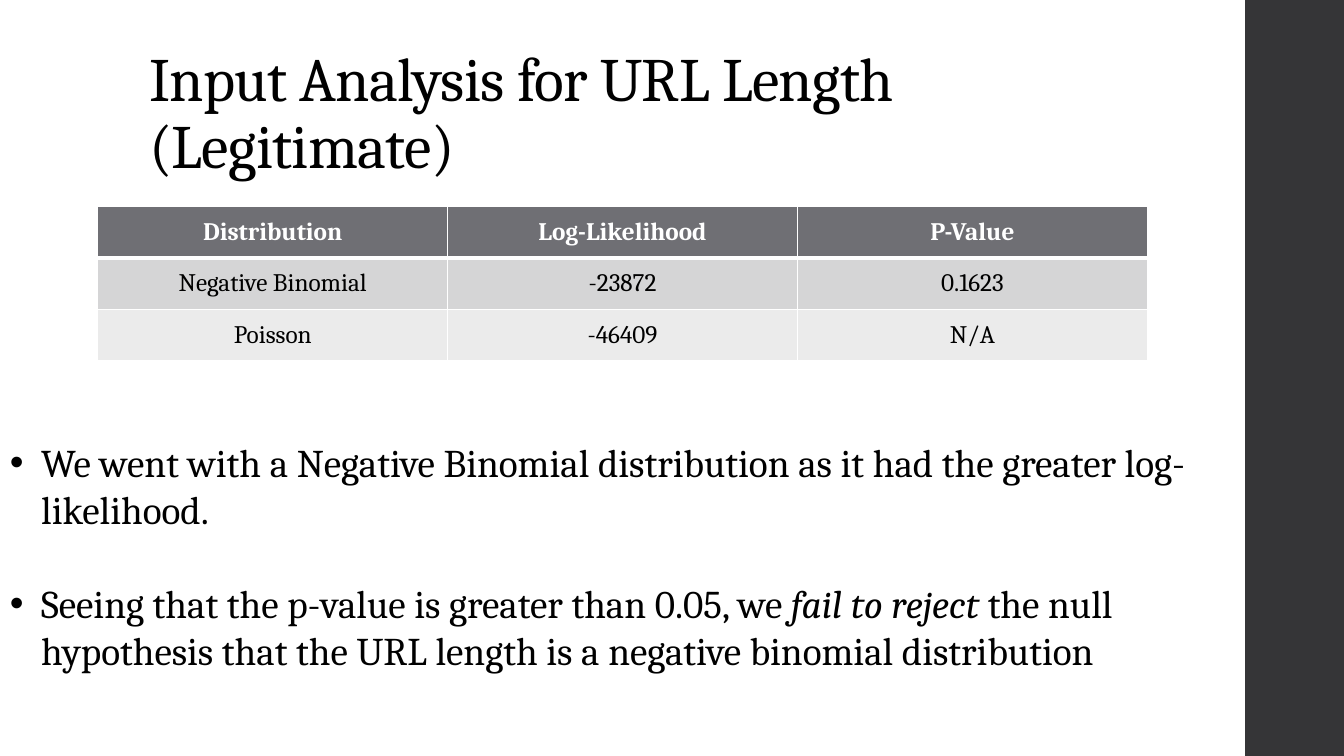
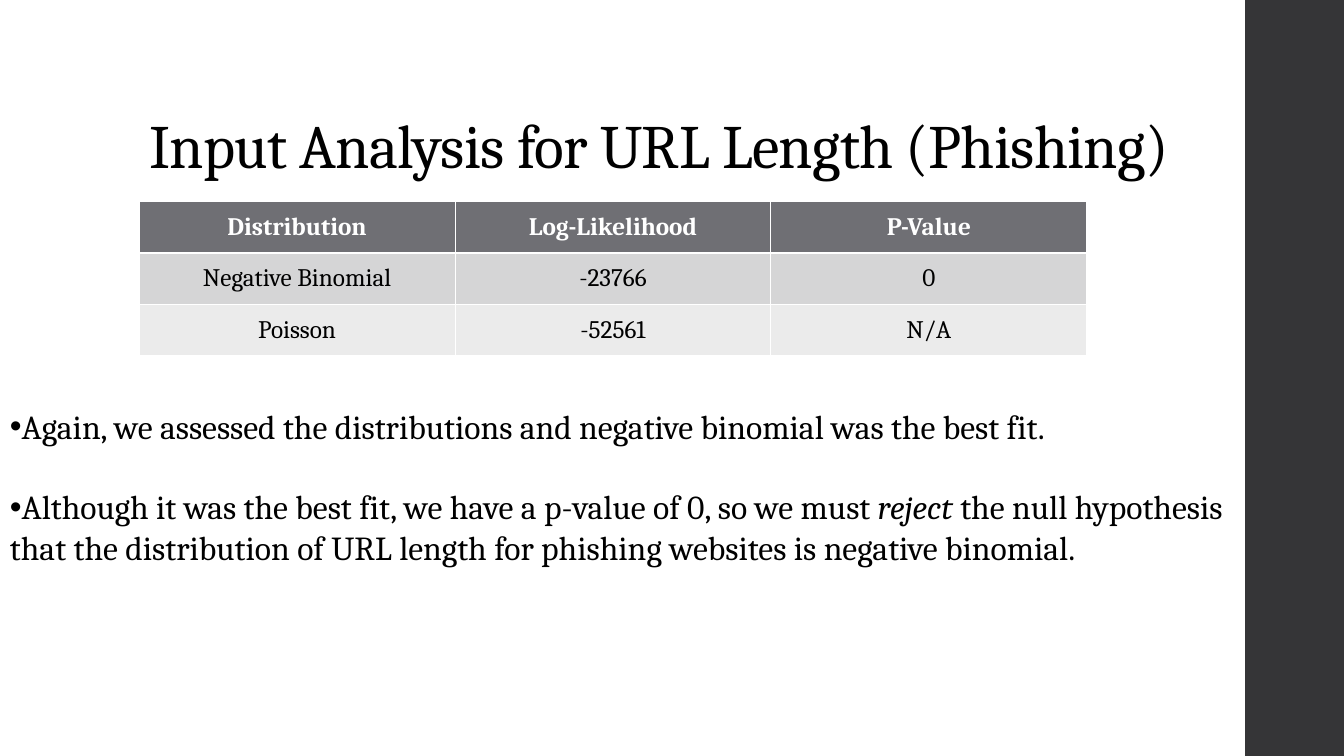
from dataclasses import dataclass

from lxml import etree
from pptx import Presentation
from pptx.dml.color import RGBColor
from pptx.enum import shapes, text
from pptx.oxml import ns
from pptx.util import Inches, Length, Pt

FONT = "Cambria"
BLACK = RGBColor(0x00, 0x00, 0x00)
WHITE = RGBColor(0xFF, 0xFF, 0xFF)
BAND = RGBColor(0x35, 0x35, 0x37)
HEADER = RGBColor(0x6F, 0x6F, 0x74)
ROW_FILLS = (HEADER, RGBColor(0xD5, 0xD5, 0xD6), RGBColor(0xEB, 0xEB, 0xEB))

SLIDE_WIDTH = Inches(13.33)
SLIDE_HEIGHT = Inches(7.5)
BAND_LEFT = Inches(12.35)
ROW_HEIGHT = Inches(0.51)


@dataclass(frozen=True)
class Box:
    left: float
    top: float
    width: float
    height: float

    def lengths(self) -> tuple[Length, ...]:
        return tuple(map(Inches, (self.left, self.top, self.width, self.height)))


@dataclass(frozen=True)
class Run:
    text: str
    italic: bool = False


@dataclass(frozen=True)
class ResultTable:
    box: Box
    rows: tuple[tuple[str, ...], ...]
    border: float
    header_border: float


@dataclass(frozen=True)
class BulletList:
    box: Box
    items: tuple[tuple[Run, ...], ...]
    size: float
    gap: float
    indent: float
    anchor: text.MSO_ANCHOR


@dataclass(frozen=True)
class AnalysisSlide:
    title: str
    table: ResultTable
    bullets: BulletList


TITLE_BOX = Box(1.38, 0.4, 10.6, 1.45)
COLUMN_NAMES = ("Distribution", "Log-Likelihood", "P-Value")

SLIDES = (
    AnalysisSlide(
        "Input Analysis for URL Length (Legitimate)",
        ResultTable(
            Box(0.97, 2.05, 10.41, 1.53),
            (
                COLUMN_NAMES,
                ("Negative Binomial", "-23872", "0.1623"),
                ("Poisson", "-46409", "N/A"),
            ),
            border=1,
            header_border=3,
        ),
        BulletList(
            Box(0, 4.05, 12.35, 2.93),
            (
                (Run("We went with a Negative Binomial distribution as it had the greater log-likelihood."),),
                (
                    Run("Seeing that the p-value is greater than 0.05, we "),
                    Run("fail to reject", italic=True),
                    Run(" the null hypothesis that the URL length is a negative binomial distribution"),
                ),
            ),
            size=28,
            gap=33.5,
            indent=0.31,
            anchor=text.MSO_ANCHOR.MIDDLE,
        ),
    ),
    AnalysisSlide(
        "Input Analysis for URL Length (Phishing)",
        ResultTable(
            Box(1.38, 2, 9.4, 1.53),
            (
                COLUMN_NAMES,
                ("Negative Binomial", "-23766", "0"),
                ("Poisson", "-52561", "N/A"),
            ),
            border=0.75,
            header_border=1.8,
        ),
        BulletList(
            Box(0, 3.98, 12.32, 2.42),
            (
                (Run("Again, we assessed the distributions and negative binomial was the best fit."),),
                (
                    Run("Although it was the best fit, we have a p-value of 0, so we must "),
                    Run("reject", italic=True),
                    Run(" the null hypothesis that the distribution of URL length for phishing websites is negative binomial."),
                ),
            ),
            size=24,
            gap=28.5,
            indent=0,
            anchor=text.MSO_ANCHOR.TOP,
        ),
    ),
)


def write_text(
    paragraph,
    content: str,
    *,
    size: float,
    color: RGBColor = BLACK,
    bold: bool = False,
    italic: bool = False,
    spacing: float = 0,
) -> None:
    run = paragraph.add_run()
    run.text = content
    font = run.font
    font.name = FONT
    font.size = Pt(size)
    font.color.rgb = color
    font.bold = bold
    font.italic = italic
    if spacing:
        font._element.set("spc", str(round(spacing * 100)))


def add_text_frame(slide, box: Box, anchor: text.MSO_ANCHOR):
    frame = slide.shapes.add_textbox(*box.lengths()).text_frame
    frame.word_wrap = True
    frame.vertical_anchor = anchor
    return frame


def add_band(slide) -> None:
    band = slide.shapes.add_shape(
        shapes.MSO_SHAPE.RECTANGLE, BAND_LEFT, 0, SLIDE_WIDTH - BAND_LEFT, SLIDE_HEIGHT
    )
    band.shadow.inherit = False
    band.fill.solid()
    band.fill.fore_color.rgb = BAND
    band.line.fill.background()


def add_title(slide, title: str) -> None:
    paragraph = add_text_frame(slide, TITLE_BOX, text.MSO_ANCHOR.BOTTOM).paragraphs[0]
    paragraph.line_spacing = 0.9
    write_text(paragraph, title, size=44, spacing=-0.5)


def set_borders(cell, left: float, right: float, top: float, bottom: float) -> None:
    properties = cell._tc.get_or_add_tcPr()
    for side, width in (("L", left), ("R", right), ("T", top), ("B", bottom)):
        line = etree.SubElement(properties, ns.qn(f"a:ln{side}"), w=str(Pt(width)))
        fill = etree.SubElement(line, ns.qn("a:solidFill"))
        etree.SubElement(fill, ns.qn("a:srgbClr"), val=str(WHITE))


def add_result_table(slide, result: ResultTable) -> None:
    table = slide.shapes.add_table(
        len(result.rows), len(result.rows[0]), *result.box.lengths()
    ).table
    table.horz_banding = False
    for row in table.rows:
        row.height = ROW_HEIGHT
    for row_index, values in enumerate(result.rows):
        is_header = row_index == 0
        top = result.header_border if row_index == 1 else result.border
        bottom = result.header_border if is_header else result.border
        for column_index, value in enumerate(values):
            cell = table.cell(row_index, column_index)
            set_borders(cell, result.border, result.border, top, bottom)
            cell.fill.solid()
            cell.fill.fore_color.rgb = ROW_FILLS[row_index]
            cell.vertical_anchor = text.MSO_ANCHOR.MIDDLE
            paragraph = cell.text_frame.paragraphs[0]
            paragraph.alignment = text.PP_ALIGN.CENTER
            write_text(
                paragraph,
                value,
                size=18,
                color=WHITE if is_header else BLACK,
                bold=is_header,
            )


def set_bullet(paragraph, indent: float) -> None:
    properties = paragraph._p.get_or_add_pPr()
    properties.set("marL", str(Inches(indent)))
    properties.set("indent", str(-Inches(indent)))
    etree.SubElement(properties, ns.qn("a:buFont"), typeface="Arial")
    etree.SubElement(properties, ns.qn("a:buChar"), char="•")


def add_bullets(slide, bullets: BulletList) -> None:
    frame = add_text_frame(slide, bullets.box, bullets.anchor)
    for index, runs in enumerate(bullets.items):
        paragraph = frame.add_paragraph() if index else frame.paragraphs[0]
        paragraph.space_before = Pt(bullets.gap if index else 0)
        set_bullet(paragraph, bullets.indent)
        for run in runs:
            write_text(paragraph, run.text, size=bullets.size, italic=run.italic)


def main() -> None:
    presentation = Presentation()
    presentation.slide_width = SLIDE_WIDTH
    presentation.slide_height = SLIDE_HEIGHT
    blank_layout = presentation.slide_layouts[6]
    for content in SLIDES:
        slide = presentation.slides.add_slide(blank_layout)
        add_band(slide)
        add_title(slide, content.title)
        add_result_table(slide, content.table)
        add_bullets(slide, content.bullets)
    presentation.save("out.pptx")


if __name__ == "__main__":
    main()
